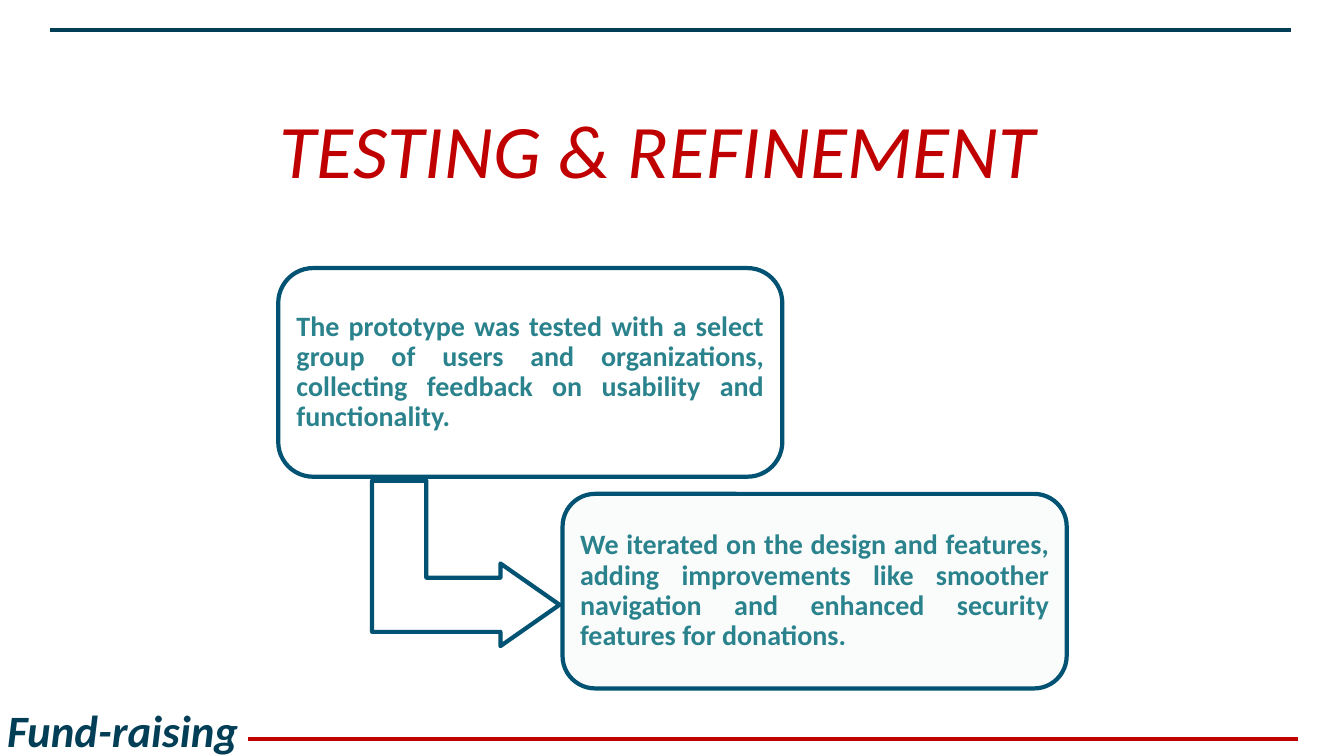
from dataclasses import dataclass

from lxml import etree
from pptx import Presentation
from pptx.dml.color import RGBColor
from pptx.enum import shapes, text
from pptx.oxml import ns
from pptx.util import Inches, Pt


@dataclass(frozen=True)
class Theme:
    font: str = "Calibri"
    red: str = "C00000"
    navy: str = "023E56"
    outline: str = "025373"
    teal: str = "2A828C"
    title_size: int = 54
    footer_size: int = 32
    body_size: int = 20
    rule_width: float = 2.5
    outline_width: float = 3


THEME = Theme()


def write_text(shape, content, size, color, bold=False, italic=False,
               align=text.PP_ALIGN.LEFT, anchor=text.MSO_ANCHOR.TOP,
               line_spacing=1.0, letter_spacing=0, side=0.1, top=0.05):
    frame = shape.text_frame
    frame.word_wrap = True
    frame.vertical_anchor = anchor
    frame.margin_left = frame.margin_right = Inches(side)
    frame.margin_top = frame.margin_bottom = Inches(top)
    paragraph = frame.paragraphs[0]
    paragraph.alignment = align
    paragraph.line_spacing = line_spacing
    run = paragraph.add_run()
    run.text = content
    run.font.name = THEME.font
    run.font.size = Pt(size)
    run.font.bold = bold
    run.font.italic = italic
    run.font.color.rgb = RGBColor.from_string(color)
    if letter_spacing:
        run.font._element.set("spc", str(round(letter_spacing * 100)))


def add_label(slide, box, content, **text_format):
    shape = slide.shapes.add_textbox(*map(Inches, box))
    write_text(shape, content, **text_format)


def add_outlined_shape(slide, kind, box, adjustments):
    shape = slide.shapes.add_shape(kind, *map(Inches, box))
    shape.shadow.inherit = False
    shape.fill.background()
    shape.line.color.rgb = RGBColor.from_string(THEME.outline)
    shape.line.width = Pt(THEME.outline_width)
    for index, value in enumerate(adjustments):
        shape.adjustments[index] = value
    return shape


def tint(shape, color, opacity):
    shape.fill.solid()
    shape.fill.fore_color.rgb = RGBColor.from_string(color)
    color_element = shape._element.spPr.find(
        f"{ns.qn('a:solidFill')}/{ns.qn('a:srgbClr')}")
    alpha = etree.SubElement(color_element, ns.qn("a:alpha"))
    alpha.set("val", str(round(opacity * 100000)))


def add_step(slide, box, content, opacity=0):
    shape = add_outlined_shape(
        slide, shapes.MSO_SHAPE.ROUNDED_RECTANGLE, box, [0.167])
    if opacity:
        tint(shape, THEME.teal, opacity)
    write_text(shape, content, size=THEME.body_size, color=THEME.teal, bold=True,
               align=text.PP_ALIGN.JUSTIFY, anchor=text.MSO_ANCHOR.MIDDLE,
               line_spacing=0.9, side=0.08, top=0.08)


def add_rule(slide, left, right, height, color):
    rule = slide.shapes.add_connector(
        shapes.MSO_CONNECTOR.STRAIGHT,
        Inches(left), Inches(height), Inches(right), Inches(height))
    rule.line.color.rgb = RGBColor.from_string(color)
    rule.line.width = Pt(THEME.rule_width)
    etree.SubElement(rule._element.spPr, ns.qn("a:effectLst"))


def main():
    presentation = Presentation()
    presentation.slide_width = Inches(13.33)
    presentation.slide_height = Inches(7.5)
    slide = presentation.slides.add_slide(presentation.slide_layouts[6])

    add_label(slide, (1.3, 0.65, 10.46, 1.33), "TESTING & REFINEMENT",
              size=THEME.title_size, color=THEME.red, italic=True,
              align=text.PP_ALIGN.CENTER, anchor=text.MSO_ANCHOR.BOTTOM,
              line_spacing=0.9, letter_spacing=0.3)

    arrow = add_outlined_shape(slide, shapes.MSO_SHAPE.BENT_UP_ARROW,
                               (3.8, 4.66, 1.64, 1.86), [0.328, 0.25, 0.358])
    arrow.rotation = 90
    add_step(slide, (2.76, 2.66, 5, 2.07),
             "The prototype was tested with a select group of users and "
             "organizations, collecting feedback on usability and functionality.")
    add_step(slide, (5.58, 4.9, 5, 1.93),
             "We iterated on the design and features, adding improvements like "
             "smoother navigation and enhanced security features for donations.",
             opacity=0.02)

    add_rule(slide, 0.5, 12.8, 0.3, THEME.navy)
    add_rule(slide, 2.46, 12.87, 7.33, THEME.red)
    add_label(slide, (0, 6.92, 2.6, 0.58), "Fund-raising",
              size=THEME.footer_size, color=THEME.navy, bold=True, italic=True,
              side=0.07)

    presentation.save("out.pptx")


if __name__ == "__main__":
    main()
